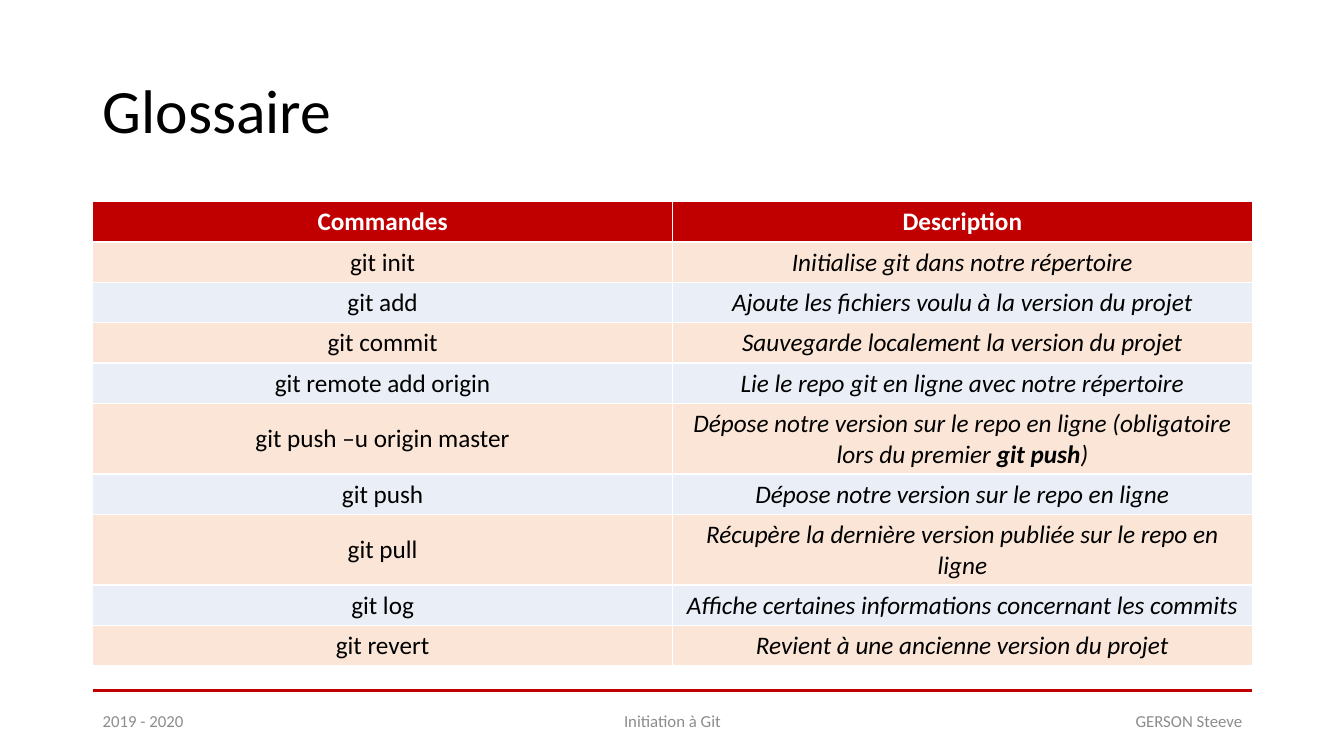
from lxml.etree import SubElement
from pptx import Presentation
from pptx.dml.color import RGBColor
from pptx.enum.shapes import MSO_CONNECTOR
from pptx.enum.text import MSO_ANCHOR, PP_ALIGN
from pptx.oxml.ns import qn
from pptx.util import Inches, Pt

FONT = "Calibri"
RED, BLACK, WHITE, GREY = "C00000", "000000", "FFFFFF", "8C8C8C"
BANDS = ("FBE5D6", "EAEFF7")
LEFT, WIDTH = 0.92, 11.5

HEADINGS = ("Commandes", "Description")
COMMANDS = [
    ("git init", ["Initialise git dans notre répertoire"]),
    ("git add", ["Ajoute les fichiers voulu à la version du projet"]),
    ("git commit", ["Sauvegarde localement la version du projet"]),
    ("git remote add origin", ["Lie le repo git en ligne avec notre répertoire"]),
    ("git push –u origin master",
     ["Dépose notre version sur le repo en ligne (obligatoire lors du premier ",
      "git push", ")"]),
    ("git push", ["Dépose notre version sur le repo en ligne"]),
    ("git pull", ["Récupère la dernière version publiée sur le repo en ligne"]),
    ("git log", ["Affiche certaines informations concernant les commits"]),
    ("git revert", ["Revient à une ancienne version du projet"]),
]


def color(value):
    return RGBColor.from_string(value)


def format_run(run, size, value, bold=False, italic=False):
    run.font.name = FONT
    run.font.size = Pt(size)
    run.font.color.rgb = color(value)
    run.font.bold = bold
    run.font.italic = italic


def add_text(slide, box, text, size, value, alignment=PP_ALIGN.LEFT):
    shape = slide.shapes.add_textbox(*map(Inches, box))
    text_frame = shape.text_frame
    text_frame.word_wrap = True
    text_frame.vertical_anchor = MSO_ANCHOR.MIDDLE
    text_frame.text = text
    paragraph = text_frame.paragraphs[0]
    paragraph.alignment = alignment
    format_run(paragraph.runs[0], size, value)
    return paragraph


def add_title(slide, box):
    paragraph = add_text(slide, box, "Glossaire", 44, BLACK)
    paragraph.line_spacing = 0.9


def fill_cell(cell, pieces, fill, value, bold=False, italic=False):
    cell.fill.solid()
    cell.fill.fore_color.rgb = color(fill)
    cell.vertical_anchor = MSO_ANCHOR.MIDDLE
    paragraph = cell.text_frame.paragraphs[0]
    paragraph.alignment = PP_ALIGN.CENTER
    for index, piece in enumerate(pieces):
        run = paragraph.add_run()
        run.text = piece
        format_run(run, 18, value, bold or index % 2 == 1, italic)


def add_glossary(slide, box):
    frame = slide.shapes.add_table(len(COMMANDS) + 1, len(HEADINGS), *map(Inches, box))
    table = frame.table
    for column, heading in enumerate(HEADINGS):
        fill_cell(table.cell(0, column), [heading], RED, WHITE, bold=True)
    for row, (command, description) in enumerate(COMMANDS, start=1):
        band = BANDS[(row - 1) % 2]
        fill_cell(table.cell(row, 0), [command], band, BLACK)
        fill_cell(table.cell(row, 1), description, band, BLACK, italic=True)


def add_footer(slide, box):
    left, top, width, height = box
    right = left + width
    rule = slide.shapes.add_connector(
        MSO_CONNECTOR.STRAIGHT, *map(Inches, (left, top, right, top)))
    rule.line.color.rgb = color(RED)
    rule.line.width = Pt(2)
    SubElement(rule._element.spPr, qn("a:effectLst"))
    text_top, text_height = top + 0.1, height - 0.1
    for text, text_left, text_width, alignment in (
        ("2019 - 2020", left, 3, PP_ALIGN.LEFT),
        ("Initiation à Git", left + (width - 4.5) / 2, 4.5, PP_ALIGN.CENTER),
        ("GERSON Steeve", right - 3.9, 3.9, PP_ALIGN.RIGHT),
    ):
        text_box = (text_left, text_top, text_width, text_height)
        add_text(slide, text_box, text, 12, GREY, alignment)


def main():
    presentation = Presentation()
    presentation.slide_width = Inches(13.33)
    presentation.slide_height = Inches(7.5)
    slide = presentation.slides.add_slide(presentation.slide_layouts[6])
    add_title(slide, (LEFT, 0.4, WIDTH, 1.45))
    add_glossary(slide, (LEFT, 2, WIDTH, 4))
    add_footer(slide, (LEFT, 6.85, WIDTH, 0.5))
    presentation.save("out.pptx")


if __name__ == "__main__":
    main()
